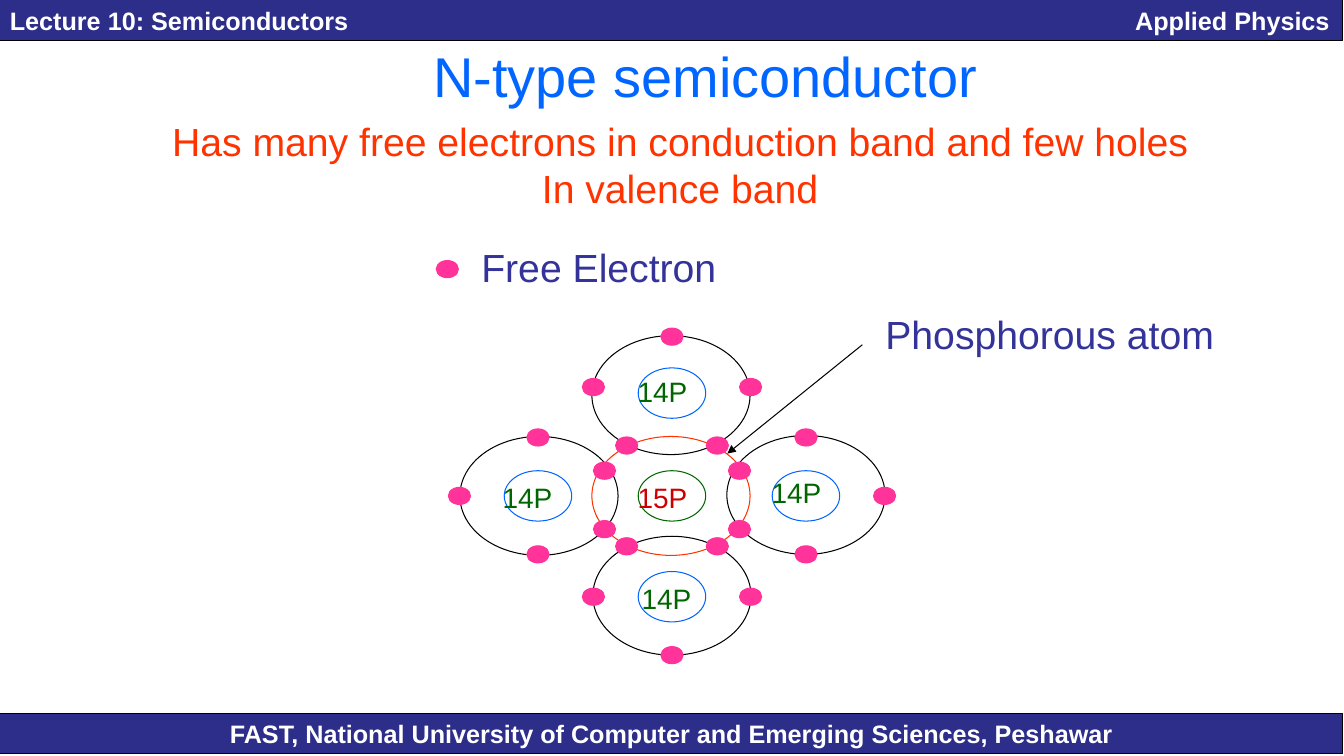
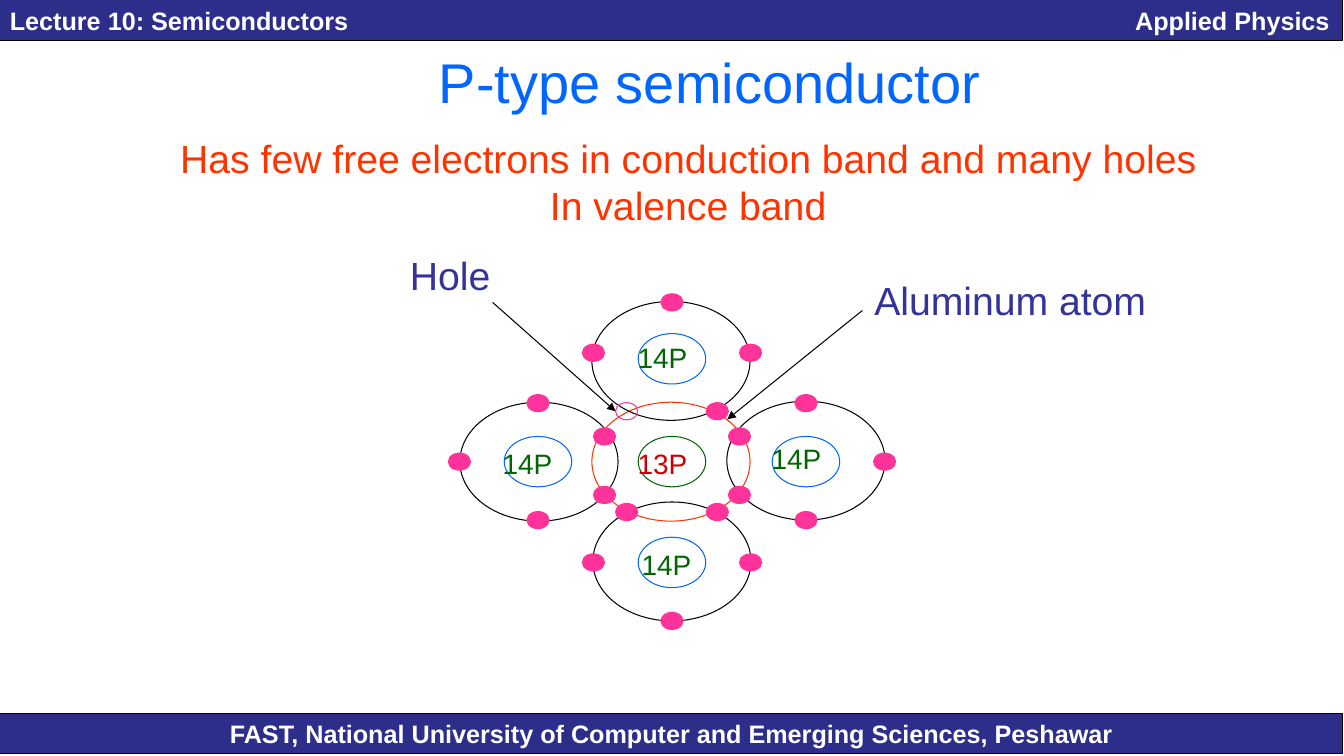
"""Two slides on doped semiconductors."""
from lxml import etree
from pptx import Presentation
from pptx.dml.color import RGBColor
from pptx.enum.shapes import MSO_CONNECTOR, MSO_SHAPE
from pptx.enum.text import MSO_ANCHOR, PP_ALIGN
from pptx.oxml.ns import qn
from pptx.util import Inches, Pt

RECT, OVAL = MSO_SHAPE.RECTANGLE, MSO_SHAPE.OVAL
LINE = MSO_CONNECTOR.STRAIGHT
LEFT, MID = PP_ALIGN.LEFT, PP_ALIGN.CENTER
TOP, CENTER = MSO_ANCHOR.TOP, MSO_ANCHOR.MIDDLE
FONT = "Arial"
NAVY, WHITE, BLACK = "2D2D8A", "FFFFFF", "000000"
BLUE, RED, PINK = "0066FF", "FF3300", "FF3399"
GREEN, CRIMSON, INDIGO = "006600", "CC0000", "333399"
WIDTH = 13.34
MID_X = 6.67

SHELL, CORE, DOT = (1.57, 1.18), (0.67, 0.5), (0.22, 0.17)
SHELLS = [(-0.01, -1), (1.33, -0.01), (-1.32, 0), (0, 0.99)]
CORES = [(0, -1.02), (-1.33, 0), (1.33, 0), (0, 1)]
LABELS = [(-0.44, -1.25), (-1.78, -0.2), (0.89, -0.25), (-0.4, 0.8)]
VACANT = (-0.45, -0.5)
PAIRS = [(0.45, -0.5), (0.45, 0.5), (0.67, -0.25), (0.67, 0.33),
         (0.78, -1.08), (0.78, 1), (1.33, -0.58), (1.33, 0.58), (2.11, 0)]
POLES = [(0, -1.58), (0, 1.58)]
DOTS = POLES + [(side * x, y) for x, y in PAIRS for side in (-1, 1)]


def rgb(code):
    """Turn a hex string into a colour."""
    return RGBColor.from_string(code)


def write(frame, lines, size, color, align=LEFT, bold=False, tab=None):
    """Write one paragraph for each line."""
    frame.word_wrap = True
    for i, line in enumerate(lines):
        para = frame.paragraphs[0] if i == 0 else frame.add_paragraph()
        para.alignment = align
        if tab:
            tabs = etree.SubElement(para._p.get_or_add_pPr(), qn("a:tabLst"))
            etree.SubElement(tabs, qn("a:tab"), pos=str(Inches(tab)), algn="r")
        run = para.add_run()
        run.text = line
        run.font.name = FONT
        run.font.size = Pt(size)
        run.font.bold = bold
        run.font.color.rgb = rgb(color)


def shape(slide, kind, box, line, fill=None):
    """Add an outlined shape, filled if a fill is given."""
    item = slide.shapes.add_shape(kind, *map(Inches, box))
    item.shadow.inherit = False
    item.line.color.rgb = rgb(line)
    item.line.width = Pt(0.75)
    if fill:
        item.fill.solid()
        item.fill.fore_color.rgb = rgb(fill)
    else:
        item.fill.background()
    return item


def oval(slide, x, y, size, line, fill=None):
    """Add an ellipse around a centre."""
    wide, high = size
    shape(slide, OVAL, (x - wide / 2, y - high / 2, wide, high), line, fill)


def text(slide, box, lines, size, color, align=LEFT):
    """Add a text box."""
    frame = slide.shapes.add_textbox(*map(Inches, box)).text_frame
    frame.vertical_anchor = TOP
    write(frame, lines, size, color, align)


def band(slide, top, words, align, tab=None):
    """Add a navy band across the slide."""
    item = shape(slide, RECT, (0, top, WIDTH - 0.01, 0.4), BLACK, NAVY)
    item.text_frame.vertical_anchor = CENTER
    write(item.text_frame, [words], 18, WHITE, align, True, tab)


def arrow(slide, start, tip):
    """Add a thin line with an arrowhead at its tip."""
    item = slide.shapes.add_connector(LINE, *map(Inches, start + tip))
    item.line.color.rgb = rgb(BLACK)
    item.line.width = Pt(0.75)
    props = item._element.spPr
    etree.SubElement(props.find(qn("a:ln")), qn("a:tailEnd"), type="triangle")
    etree.SubElement(props, qn("a:effectLst"))


def label(slide, x, y, words):
    """Name a part of the lattice."""
    text(slide, (x, y, 3.6, 0.57), [words], 28, INDIGO)


def lattice(slide, mid, atom, full):
    """Draw a doping atom bound to its four neighbours."""
    oval(slide, MID_X - 0.01, mid, SHELL, RED)
    for x, y in SHELLS:
        oval(slide, MID_X + x, mid + y, SHELL, BLACK)
    oval(slide, MID_X, mid, CORE, GREEN)
    for x, y in CORES:
        oval(slide, MID_X + x, mid + y, CORE, BLUE)
    marks = [(-0.44, -0.2, atom, CRIMSON)]
    marks += [(x, y, "14P", GREEN) for x, y in LABELS]
    for x, y, words, color in marks:
        text(slide, (MID_X + x, mid + y, 0.8, 0.44), [words], 20, color)
    for x, y in DOTS:
        if full or (x, y) != VACANT:
            oval(slide, MID_X + x, mid + y, DOT, PINK, PINK)
    if not full:
        oval(slide, MID_X + VACANT[0], mid + VACANT[1], DOT, PINK)
    arrow(slide, (8.56, mid - 1.5), (7.22, mid - 0.42))


def page(deck, title, title_at, lead, lead_at):
    """Start a slide with bands, title and lead text."""
    slide = deck.slides.add_slide(deck.slide_layouts[6])
    band(slide, 7.08, "FAST, National University of Computer and "
         "Emerging Sciences, Peshawar", MID)
    band(slide, 0, "Lecture 10: Semiconductors\tApplied Physics", LEFT, 13.1)
    for (x, y), wide, high, lines, size, color in (
            (title_at, 9.8, 0.77, [title], 40, BLUE),
            (lead_at, 10.6, 1.04, [lead, "In valence band"], 28, RED)):
        text(slide, (x - wide / 2, y, wide, high), lines, size, color, MID)
    return slide


def main():
    """Build and save the deck."""
    deck = Presentation()
    deck.slide_width, deck.slide_height = Inches(WIDTH), Inches(7.5)

    slide = page(deck, "N-type semiconductor", (7, 0.36),
                 "Has many free electrons in conduction band and few holes",
                 (6.75, 1.11))
    lattice(slide, 4.92, "15P", True)
    oval(slide, 4.44, 2.67, DOT, PINK, PINK)
    label(slide, 4.68, 2.36, "Free Electron")
    label(slide, 8.69, 3.03, "Phosphorous atom")

    slide = page(deck, "P-type semiconductor", (7.04, 0.42),
                 "Has few free electrons in conduction band and many holes",
                 (6.83, 1.28))
    lattice(slide, 4.58, "13P", False)
    arrow(slide, (4.89, 3), (6.11, 4.08))
    label(slide, 3.97, 2.44, "Hole")
    label(slide, 8.58, 2.69, "Aluminum atom")

    deck.save("out.pptx")


if __name__ == "__main__":
    main()
